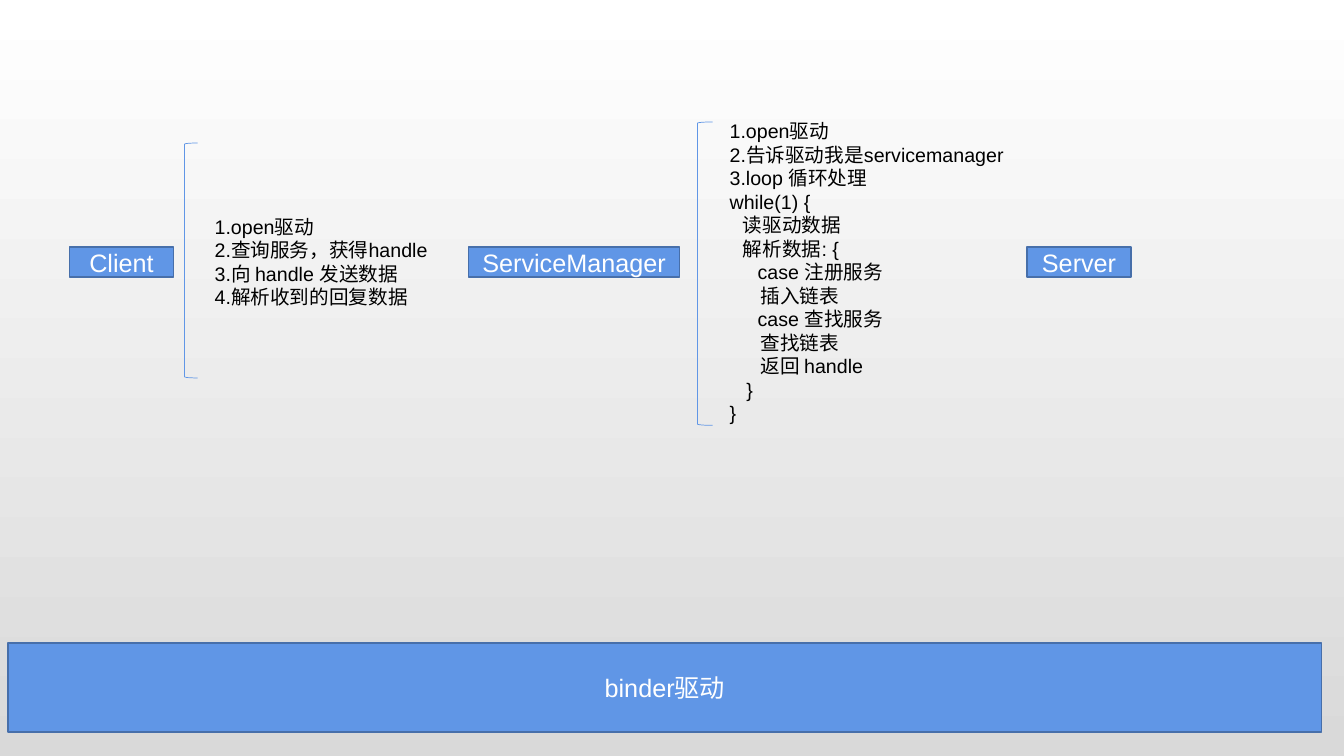
from dataclasses import dataclass

from pptx import Presentation
from pptx.dml.color import RGBColor as RGB
from pptx.enum.shapes import MSO_SHAPE as SHAPE
from pptx.enum.text import MSO_ANCHOR as ANCHOR, PP_ALIGN as ALIGN
from pptx.util import Pt


@dataclass(frozen=True)
class Theme:
    font: str = "Arial"
    label_size: float = 18
    step_size: float = 14
    fill: RGB = RGB(0x60, 0x96, 0xE6)
    border: RGB = RGB(0x47, 0x6F, 0xAA)
    light: RGB = RGB(0xFF, 0xFF, 0xFF)
    shade: RGB = RGB(0xD9, 0xD9, 0xD9)
    dark: RGB = RGB(0, 0, 0)


THEME = Theme()
LABEL_TOP, LABEL_HEIGHT = 176.4, 21.6

LABELS = [("Client", 49.7, 74.2), ("ServiceManager", 334.8, 150.5), ("Server", 733.7, 74.2)]

CLIENT_STEPS = [
    ("1.open驱动", 0),
    ("2.查询服务，获得handle", 0),
    ("3.向 handle 发送数据", 0),
    ("4.解析收到的回复数据", 0),
]

MANAGER_STEPS = [
    ("1.open驱动", 0),
    ("2.告诉驱动我是servicemanager", 0),
    ("3.loop 循环处理", 0),
    ("while(1) {", 0),
    ("读驱动数据", 9.5),
    ("解析数据: {", 9.5),
    ("case 注册服务", 20),
    ("插入链表", 22),
    ("case 查找服务", 20),
    ("查找链表", 22),
    ("返回 handle", 22),
    ("}", 12),
    ("}", 0),
]


def write(p, text, *, size, color, align=ALIGN.LEFT, indent=0):
    p.alignment = align
    if indent:
        p._p.get_or_add_pPr().set("marL", str(Pt(indent)))
    r = p.add_run()
    r.text = text
    r.font.name = THEME.font
    r.font.size = Pt(size)
    r.font.color.rgb = color


def add_label(slide, box, text):
    sp = slide.shapes.add_shape(SHAPE.RECTANGLE, *map(Pt, box))
    sp.shadow.inherit = False
    sp.fill.solid()
    sp.fill.fore_color.rgb = THEME.fill
    sp.line.color.rgb = THEME.border
    sp.line.width = Pt(1)
    tf = sp.text_frame
    tf.word_wrap = True
    tf.vertical_anchor = ANCHOR.MIDDLE
    write(tf.paragraphs[0], text, size=THEME.label_size, color=THEME.light, align=ALIGN.CENTER)


def add_steps(slide, box, steps, bracket_width, text_left, text_top, text_height):
    left, top, width, height = box
    sp = slide.shapes.add_shape(
        SHAPE.LEFT_BRACKET, Pt(left), Pt(top), Pt(bracket_width), Pt(height))
    sp.shadow.inherit = False
    sp.fill.background()
    sp.line.color.rgb = THEME.fill
    sp.line.width = Pt(0.5)

    tf = slide.shapes.add_textbox(
        Pt(left + text_left), Pt(top + text_top),
        Pt(width - text_left), Pt(text_height)).text_frame
    tf.word_wrap = True
    for i, (text, indent) in enumerate(steps):
        p = tf.add_paragraph() if i else tf.paragraphs[0]
        write(p, text, size=THEME.step_size, color=THEME.dark, indent=indent)


def paint_background(slide):
    fill = slide.background.fill
    fill.gradient()
    fill.gradient_angle = 270
    for stop, color in zip(fill.gradient_stops, (THEME.light, THEME.shade)):
        stop.color.rgb = color


def build_binder_slide(prs):
    slide = prs.slides.add_slide(prs.slide_layouts[6])
    paint_background(slide)
    add_label(slide, (5.8, 459.4, 938.2, 63.4), "binder驱动")
    for text, left, width in LABELS:
        add_label(slide, (left, LABEL_TOP, width, LABEL_HEIGHT), text)
    add_steps(slide, (131.8, 102.2, 185.8, 167.8), CLIENT_STEPS,
              bracket_width=9.4, text_left=14.4, text_top=47.5, text_height=74.9)
    add_steps(slide, (498.2, 87.1, 228.3, 216.7), MANAGER_STEPS,
              bracket_width=10.8, text_left=15.9, text_top=-5.7, text_height=227.5)


def main():
    prs = Presentation()
    prs.slide_width, prs.slide_height = Pt(960), Pt(540)
    build_binder_slide(prs)
    prs.save("out.pptx")


if __name__ == "__main__":
    main()
